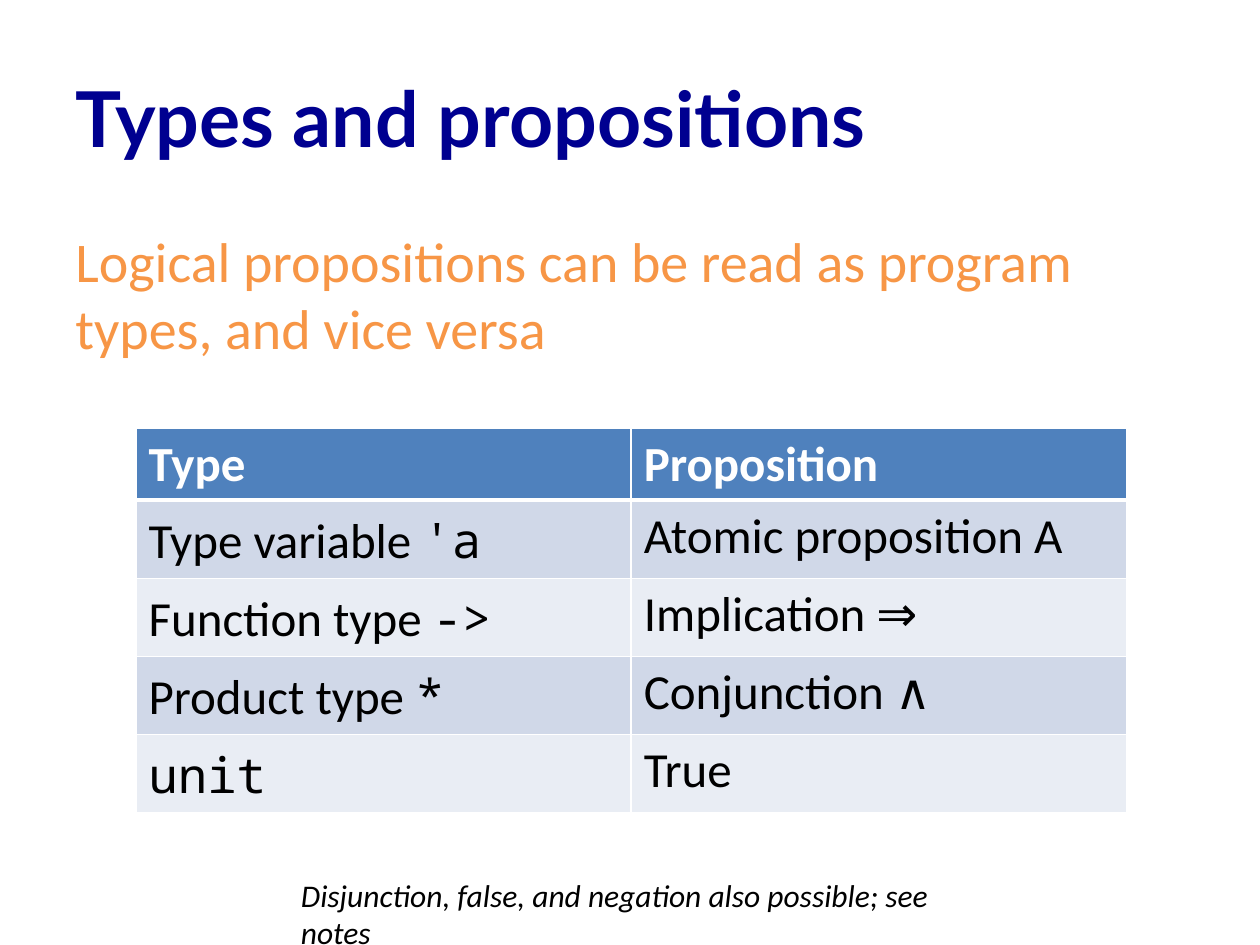
from pptx import Presentation
from pptx.dml.color import RGBColor
from pptx.enum.text import MSO_ANCHOR as Anchor
from pptx.oxml import parse_xml
from pptx.oxml.ns import nsdecls
from pptx.util import Inches, Pt

NAVY = RGBColor(0x00, 0x00, 0x90)
ORANGE = RGBColor(0xF7, 0x96, 0x46)
BLUE = RGBColor(0x4F, 0x81, 0xBD)
BAND_DARK = RGBColor(0xD0, 0xD8, 0xE8)
BAND_LIGHT = RGBColor(0xE9, 0xED, 0xF4)
WHITE = RGBColor(0xFF, 0xFF, 0xFF)
BLACK = RGBColor(0x00, 0x00, 0x00)

# Each cell is a list of (text, is code) runs.
ROWS = [
    ([("Type", False)], [("Proposition", False)]),
    ([("Type variable ", False), ("'a", True)], [("Atomic proposition A", False)]),
    ([("Function type ", False), ("->", True)], [("Implication ⇒", False)]),
    ([("Product type ", False), ("*", True)], [("Conjunction ∧", False)]),
    ([("unit", True)], [("True", False)]),
]


class SlideBuilder:
    """Holds the style and the current slide."""

    title_font = "Lato"
    body_font = "Calibri"
    code_font = "Noto Sans Mono"
    table_size = 28

    def __init__(self, slide):
        """Keep the slide to draw on."""
        self.slide = slide

    def run(self, paragraph, text, font, size, color, bold=False, italic=False):
        """Add one formatted run to a paragraph."""
        run = paragraph.add_run()
        run.text = text
        run.font.name = font
        run.font.size = Pt(size)
        run.font.color.rgb = color
        run.font.bold = bold
        run.font.italic = italic

    def text(self, box, text, font, size, color, anchor=Anchor.TOP, before=0, **style):
        """Add a wrapped text box at (left, top, width, height) inches."""
        shape = self.slide.shapes.add_textbox(*map(Inches, box))
        frame = shape.text_frame
        frame.word_wrap = True
        frame.vertical_anchor = anchor
        paragraph = frame.paragraphs[0]
        paragraph.space_before = Pt(before)
        self.run(paragraph, text, font, size, color, **style)

    def borders(self, cell, bottom):
        """Draw white borders round a cell, with its own bottom width."""
        properties = cell._tc.get_or_add_tcPr()
        widths = {"lnL": 1, "lnR": 1, "lnT": 1, "lnB": bottom}
        for position, (side, width) in enumerate(widths.items()):
            line = parse_xml(
                f'<a:{side} {nsdecls("a")} w="{Pt(width)}"><a:solidFill>'
                f'<a:srgbClr val="{WHITE}"/></a:solidFill></a:{side}>'
            )
            properties.insert(position, line)

    def table(self, box, rows, header_height, row_height):
        """Add a table with a header and banded rows."""
        frame = self.slide.shapes.add_table(len(rows), len(rows[0]), *map(Inches, box))
        table = frame.table
        for row_index, row in enumerate(rows):
            header = row_index == 0
            table.rows[row_index].height = Inches(header_height if header else row_height)
            band = BAND_DARK if row_index % 2 else BAND_LIGHT
            for column_index, runs in enumerate(row):
                cell = table.cell(row_index, column_index)
                cell.fill.solid()
                cell.fill.fore_color.rgb = BLUE if header else band
                self.borders(cell, bottom=3 if header else 1)
                for text, is_code in runs:
                    font = self.code_font if is_code else self.body_font
                    self.run(cell.text_frame.paragraphs[0], text, font,
                             self.table_size, WHITE if header else BLACK, bold=header)


def main():
    """Build the slide and save it."""
    presentation = Presentation()
    presentation.slide_width = Inches(10)
    presentation.slide_height = Inches(7.5)
    builder = SlideBuilder(presentation.slides.add_slide(presentation.slide_layouts[6]))
    builder.text((0.5, 0.3, 9, 1.25), "Types and propositions",
                 builder.title_font, 44, NAVY, anchor=Anchor.MIDDLE, bold=True)
    builder.text((0.5, 1.75, 9, 4.95),
                 "Logical propositions can be read as program types, and vice versa",
                 builder.body_font, 32, ORANGE, before=2)
    builder.table((1.08, 3.4, 7.86, 3.05), ROWS, header_height=0.57, row_height=0.62)
    builder.text((2.29, 6.9, 5.44, 0.4),
                 "Disjunction, false, and negation also possible; see notes",
                 builder.body_font, 18, BLACK, italic=True)
    presentation.save("out.pptx")


main()
